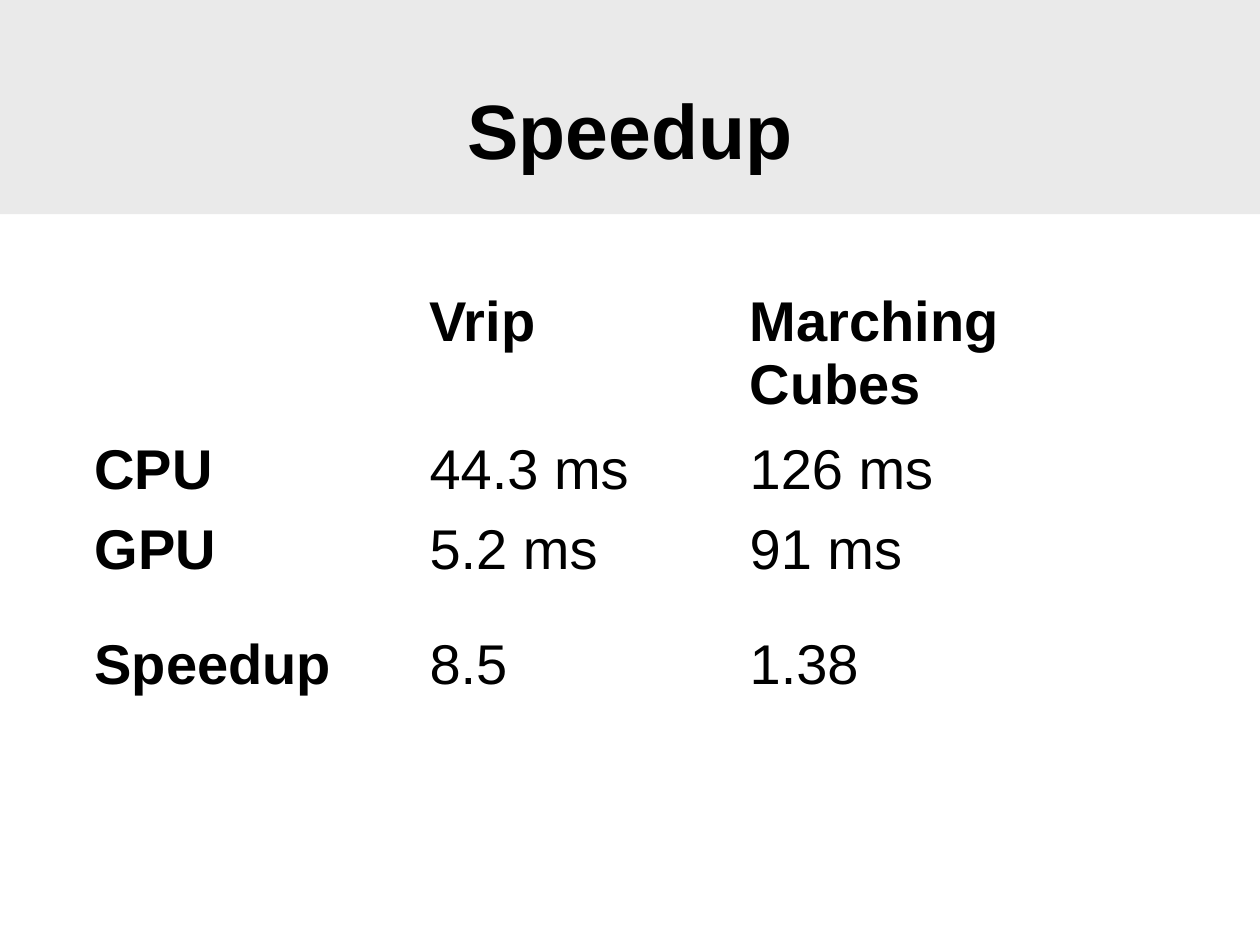
from dataclasses import dataclass

from pptx import Presentation
from pptx.dml.color import RGBColor
from pptx.enum.shapes import MSO_SHAPE
from pptx.enum.text import MSO_ANCHOR, MSO_AUTO_SIZE, PP_ALIGN
from pptx.util import Pt

RECTANGLE = MSO_SHAPE.RECTANGLE
MIDDLE = MSO_ANCHOR.MIDDLE
NO_AUTOFIT = MSO_AUTO_SIZE.NONE
CENTER = PP_ALIGN.CENTER

FONT = "Arial"
BLACK = "000000"
WHITE = "FFFFFF"
BAND_GRAY = "EAEAEA"
SLIDE_WIDTH, SLIDE_HEIGHT = 720, 540
TITLE_ONLY_LAYOUT = 5
COLUMN_WIDTHS = (191.5, 182.9, 244.8)


@dataclass(frozen=True)
class TableRow:
    height: float
    values: tuple[str, str, str]


ROWS = (
    TableRow(84.2, ("", "Vrip", "Marching Cubes")),
    TableRow(46.1, ("CPU", "44.3 ms", "126 ms")),
    TableRow(46.1, ("GPU", "5.2 ms", "91 ms")),
    TableRow(19.4, ("", "", "")),
    TableRow(46.1, ("Speedup", "8.5", "1.38")),
)


def color(value: str) -> RGBColor:
    return RGBColor.from_string(value)


def format_runs(paragraph, size: float, bold: bool) -> None:
    for run in paragraph.runs:
        run.font.name = FONT
        run.font.size = Pt(size)
        run.font.bold = bold
        run.font.color.rgb = color(BLACK)


def add_band(slide) -> None:
    band = slide.shapes.add_shape(RECTANGLE, 0, 0, Pt(SLIDE_WIDTH), Pt(122.4))
    band.shadow.inherit = False
    band.fill.solid()
    band.fill.fore_color.rgb = color(BAND_GRAY)
    band.line.fill.background()
    slide.shapes.title._element.addprevious(band._element)


def set_title(slide, text: str) -> None:
    title = slide.shapes.title
    title.left, title.top = Pt(54.7), Pt(17.3)
    title.width, title.height = Pt(610.6), Pt(113)
    text_frame = title.text_frame
    text_frame.text = text
    text_frame.auto_size = NO_AUTOFIT
    text_frame.vertical_anchor = MIDDLE
    paragraph = text_frame.paragraphs[0]
    paragraph.alignment = CENTER
    format_runs(paragraph, 44, True)


def fill_cell(cell, text: str, bold: bool) -> None:
    cell.fill.solid()
    cell.fill.fore_color.rgb = color(WHITE)
    paragraph = cell.text_frame.paragraphs[0]
    if text:
        paragraph.text = text
        format_runs(paragraph, 32, bold)
    else:
        paragraph._p.get_or_add_endParaRPr().set("sz", "1000")


def add_timing_table(slide, rows: tuple[TableRow, ...]) -> None:
    width = sum(COLUMN_WIDTHS)
    height = sum(row.height for row in rows)
    table = slide.shapes.add_table(
        len(rows), len(COLUMN_WIDTHS), Pt(46.8), Pt(162.7), Pt(width), Pt(height)
    ).table
    table.first_row = False
    table.horz_banding = False
    for column, column_width in zip(table.columns, COLUMN_WIDTHS):
        column.width = Pt(column_width)
    for row_index, row in enumerate(rows):
        table.rows[row_index].height = Pt(row.height)
        for column_index, text in enumerate(row.values):
            is_heading = row_index == 0 or column_index == 0
            fill_cell(table.cell(row_index, column_index), text, is_heading)


def main() -> None:
    presentation = Presentation()
    presentation.slide_width = Pt(SLIDE_WIDTH)
    presentation.slide_height = Pt(SLIDE_HEIGHT)
    slide = presentation.slides.add_slide(presentation.slide_layouts[TITLE_ONLY_LAYOUT])
    add_band(slide)
    set_title(slide, "Speedup")
    add_timing_table(slide, ROWS)
    presentation.save("out.pptx")


if __name__ == "__main__":
    main()
